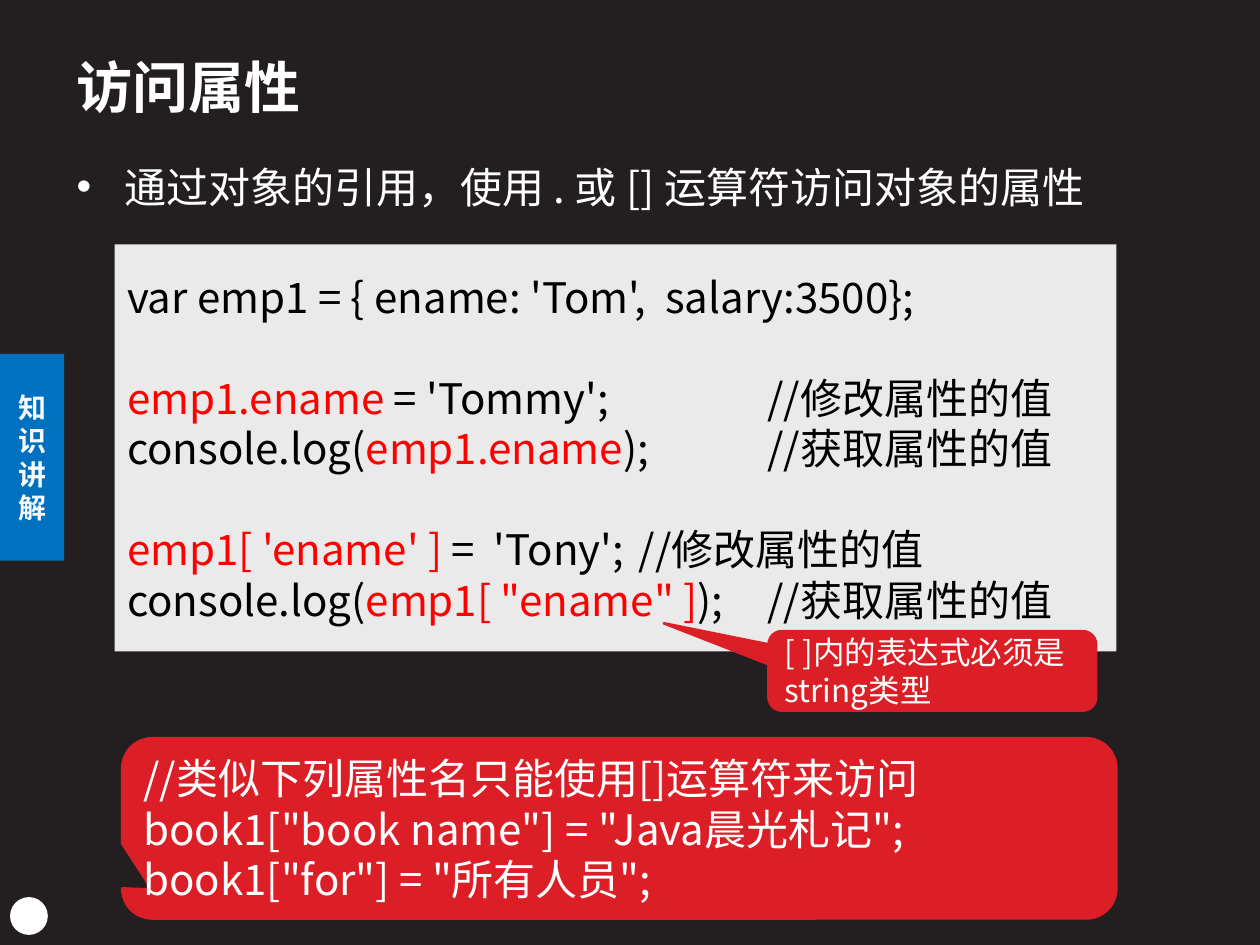
from dataclasses import dataclass
from typing import NamedTuple

from lxml import etree
from pptx import Presentation
from pptx import util as u
from pptx.dml.color import RGBColor
from pptx.enum import shapes, text
from pptx.oxml.ns import qn

FONT = "Noto Sans CJK SC"
BACKGROUND, WHITE, BLACK = "231F20", "FFFFFF", "000000"
PANEL, TAB_BLUE, CALLOUT_RED, CODE_RED = "EAEAEA", "0070C0", "DC1F26", "FF0000"
CELL = u.Inches(0.1)  # the slide is a grid of 100 columns by 75 rows
COLUMNS, ROWS = 100, 75
BLANK_LINE = 29  # points
CODE_TABS = (40.6, 50.8)  # columns from the text's left edge


class Box(NamedTuple):
    """Left, top, width and height in grid cells."""
    column: float
    row: float
    columns: float
    rows: float

    def lengths(self) -> list:
        return [u.Emu(round(value * CELL)) for value in self]


class Run(NamedTuple):
    text: str
    color: str = BLACK


class Line(NamedTuple):
    runs: list
    space_before: float = 0


@dataclass
class Callout:
    box: Box
    pointer: tuple
    size: float
    lines: list


CODE = [
    Line([Run("var emp1 = { ename: 'Tom',  salary:3500};")]),
    Line([Run("emp1.ename", CODE_RED), Run(" = 'Tommy';\t\t//修改属性的值")], BLANK_LINE),
    Line([Run("console.log("), Run("emp1.ename", CODE_RED), Run(");\t//获取属性的值")]),
    Line([Run("emp1[ 'ename' ] ", CODE_RED), Run("=  'Tony';\t//修改属性的值")], BLANK_LINE),
    Line([Run("console.log("), Run('emp1[ "ename" ]', CODE_RED), Run(");\t//获取属性的值")]),
]

CALLOUTS = [
    Callout(Box(9.7, 58.6, 78.9, 14.3), (-0.47, 0.34), 24, [
        "//类似下列属性名只能使用[]运算符来访问",
        'book1["book name"] = "Java晨光札记";',
        'book1["for"] = "所有人员";',
    ]),
    Callout(Box(61, 50.1, 26, 6.3), (-0.82, -0.6), 18, ["[ ]内的表达式必须是string类型"]),
]


def rgb(color: str) -> RGBColor:
    return RGBColor.from_string(color)


def plain_lines(*texts: str, color: str = WHITE) -> list:
    return [Line([Run(item, color)]) for item in texts]


def set_tab_stops(paragraph, columns: tuple) -> None:
    stops = etree.SubElement(paragraph._p.get_or_add_pPr(), qn("a:tabLst"))
    for column in columns:
        stop = etree.SubElement(stops, qn("a:tab"))
        stop.set("pos", str(round(column * CELL)))
        stop.set("algn", "l")


def write(shape, lines: list, *, size: float, bold: bool = False, wrap: bool = True,
          align=text.PP_ALIGN.LEFT, anchor=text.MSO_ANCHOR.MIDDLE, tabs: tuple = ()) -> None:
    frame = shape.text_frame
    frame.auto_size = text.MSO_AUTO_SIZE.NONE
    frame.word_wrap = wrap
    frame.vertical_anchor = anchor
    for index, line in enumerate(lines):
        paragraph = frame.add_paragraph() if index else frame.paragraphs[0]
        paragraph.alignment = align
        paragraph.space_before = u.Pt(line.space_before)
        if tabs:
            set_tab_stops(paragraph, tabs)
        for part in line.runs:
            run = paragraph.add_run()
            run.text = part.text
            run.font.name = FONT
            run.font.size = u.Pt(size)
            run.font.bold = bold
            run.font.color.rgb = rgb(part.color)
            east_asian = etree.SubElement(run._r.get_or_add_rPr(), qn("a:ea"))
            east_asian.set("typeface", FONT)


def add_block(slide, kind, box: Box, fill: str, line: str = ""):
    shape = slide.shapes.add_shape(kind, *box.lengths())
    shape.shadow.inherit = False
    shape.fill.solid()
    shape.fill.fore_color.rgb = rgb(fill)
    if line:
        shape.line.color.rgb = rgb(line)
        shape.line.width = u.Pt(1.5)
    else:
        shape.line.fill.background()
    return shape


def add_title(slide, title: str, box: Box) -> None:
    shape = slide.shapes.title
    shape.left, shape.top, shape.width, shape.height = box.lengths()
    write(shape, plain_lines(title), size=32, bold=True)


def add_bullet(slide, sentence: str, box: Box) -> None:
    shape = slide.shapes.add_textbox(*box.lengths())
    write(shape, [Line([Run(sentence, WHITE)], 5)], size=24, anchor=text.MSO_ANCHOR.TOP)
    paragraph = shape.text_frame.paragraphs[0]
    paragraph.line_spacing = 1.2
    properties = paragraph._p.get_or_add_pPr()
    indent = u.Inches(0.38)
    properties.set("marL", str(indent))
    properties.set("indent", str(-indent))
    etree.SubElement(properties, qn("a:buFont")).set("typeface", "Arial")
    etree.SubElement(properties, qn("a:buChar")).set("char", "•")


def add_callout(slide, callout: Callout) -> None:
    kind = shapes.MSO_SHAPE.ROUNDED_RECTANGULAR_CALLOUT
    shape = add_block(slide, kind, callout.box, CALLOUT_RED, CALLOUT_RED)
    shape.adjustments[0], shape.adjustments[1] = callout.pointer
    write(shape, plain_lines(*callout.lines), size=callout.size)


def main() -> None:
    presentation = Presentation()
    presentation.slide_width = COLUMNS * CELL
    presentation.slide_height = ROWS * CELL
    slide = presentation.slides.add_slide(presentation.slide_layouts.get_by_name("Title Only"))
    slide.background.fill.solid()
    slide.background.fill.fore_color.rgb = rgb(BACKGROUND)

    add_block(slide, shapes.MSO_SHAPE.OVAL, Box(0.8, 71.2, 3, 3), WHITE)
    side_tab = add_block(slide, shapes.MSO_SHAPE.RECTANGLE, Box(0, 28.1, 5.1, 16.4), TAB_BLUE)
    write(side_tab, plain_lines("知识讲解", color="F9FAFB"), size=16, bold=True,
          align=text.PP_ALIGN.CENTER)

    add_title(slide, "访问属性", Box(5.1, 2.9, 74, 7.8))
    add_bullet(slide, "通过对象的引用，使用 . 或 [] 运算符访问对象的属性", Box(5.1, 11.5, 88.2, 5.9))
    panel = add_block(slide, shapes.MSO_SHAPE.RECTANGLE, Box(9.1, 19.4, 79.5, 32.3), PANEL)
    write(panel, CODE, size=24, wrap=False, tabs=CODE_TABS)
    for callout in CALLOUTS:
        add_callout(slide, callout)

    presentation.save("out.pptx")


if __name__ == "__main__":
    main()
